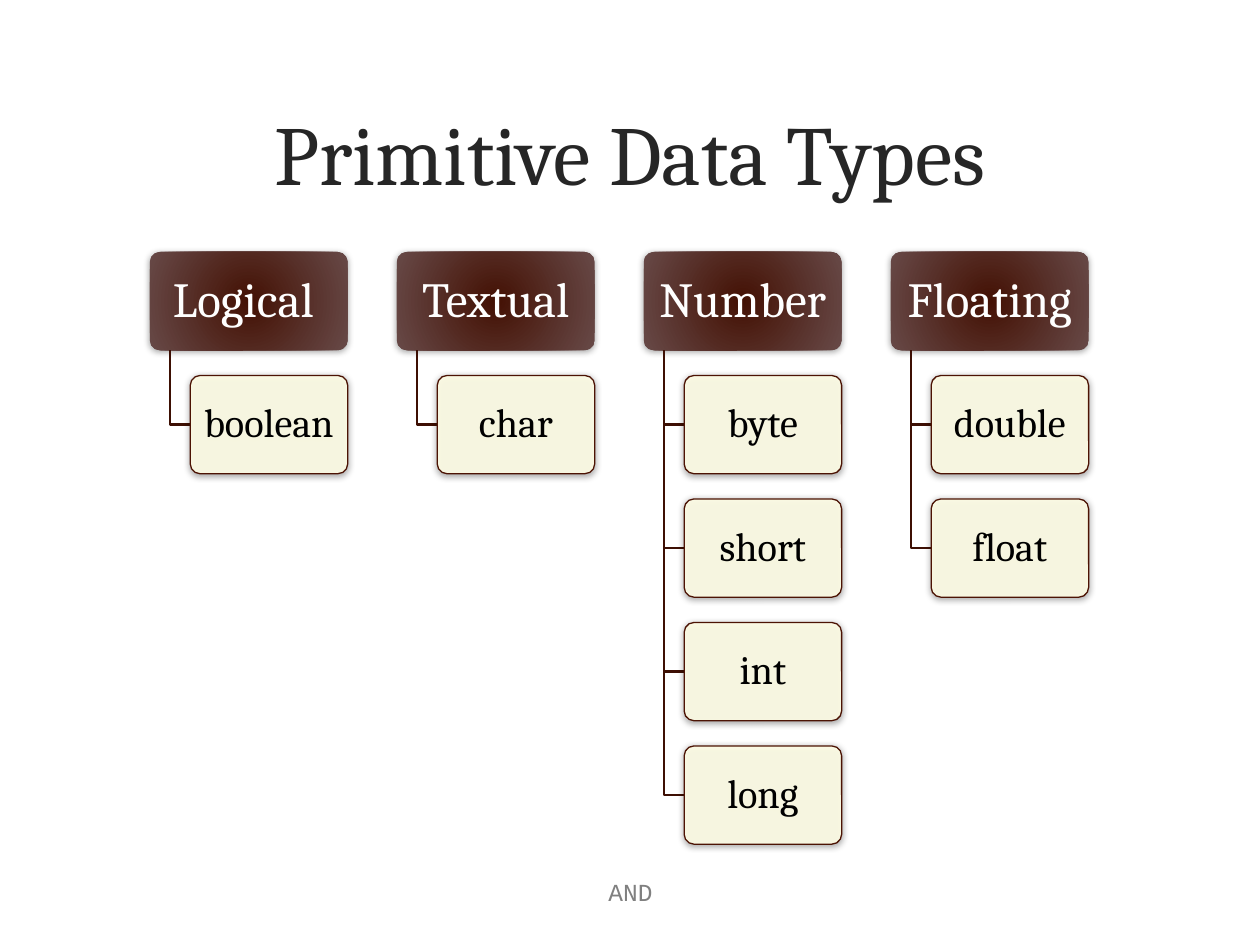
from lxml.etree import SubElement
from pptx import Presentation
from pptx.dml.color import RGBColor
from pptx.enum.shapes import MSO_SHAPE
from pptx.enum.text import MSO_ANCHOR, PP_ALIGN
from pptx.oxml import parse_xml
from pptx.oxml.ns import nsdecls, qn
from pptx.util import Inches, Pt

GROUPS = {
    "Logical ": ["boolean"],
    "Textual": ["char"],
    "Number": ["byte", "short", "int", "long"],
    "Floating": ["double", "float"],
}
LEFT, TOP = 1.19, 2
COLUMN_STEP, ROW_STEP = 1.96, 0.98
HEAD_WIDTH, TYPE_WIDTH, BOX_HEIGHT = 1.57, 1.25, 0.78
STEM, INDENT = 0.16, 0.32


def rgb(color):
    return RGBColor.from_string(color)


class Deck:
    title_font = {"name": "Cambria", "size": Pt(48), "color": "262626"}
    head_font = {"name": "Cambria", "size": Pt(28), "color": "FFFFFF"}
    type_font = {"name": "Cambria", "size": Pt(23), "color": "000000"}
    footer_font = {"name": "Courier New", "size": Pt(14), "color": "808080"}

    def __init__(self):
        self.prs = Presentation()
        self.prs.slide_width, self.prs.slide_height = Inches(10), Inches(7.5)
        self.s = self.prs.slides.add_slide(self.prs.slide_layouts[5])

    def add_text(self, sp, text, font, inset=(0.1, 0.05), spacing=1.0):
        tf = sp.text_frame
        dx, dy = map(Inches, inset)
        frame = {
            "word_wrap": True, "vertical_anchor": MSO_ANCHOR.MIDDLE,
            "margin_left": dx, "margin_right": dx,
            "margin_top": dy, "margin_bottom": dy,
        }
        for key, value in frame.items():
            setattr(tf, key, value)
        p = tf.paragraphs[0]
        p.alignment, p.line_spacing = PP_ALIGN.CENTER, spacing
        r = p.add_run()
        r.text = text
        for key, value in font.items():
            if key == "color":
                r.font.color.rgb = rgb(value)
            else:
                setattr(r.font, key, value)

    def title(self, text, x, y, w, h):
        sp = self.s.shapes.title
        sp.left, sp.top, sp.width, sp.height = map(Inches, (x, y, w, h))
        self.add_text(sp, text, self.title_font)

    def footer(self, text, x, y, w, h):
        sp = self.s.shapes.add_textbox(*map(Inches, (x, y, w, h)))
        self.add_text(sp, text, self.footer_font)

    def box(self, x, y, w):
        sp = self.s.shapes.add_shape(
            MSO_SHAPE.ROUNDED_RECTANGLE, *map(Inches, (x, y, w, BOX_HEIGHT)))
        sp.adjustments[0] = 0.1
        sp.shadow.inherit = False
        effects = sp._element.spPr.find(qn("a:effectLst"))
        shadow = SubElement(
            effects, qn("a:outerShdw"), blurRad=str(Pt(4)), dist=str(Pt(1)),
            dir="5400000", rotWithShape="0")
        color = SubElement(shadow, qn("a:srgbClr"), val="000000")
        SubElement(color, qn("a:alpha"), val="37000")
        return sp

    def head(self, text, x, y):
        sp = self.box(x, y, HEAD_WIDTH)
        sp.fill.background()
        sp.line.fill.background()
        spPr = sp._element.spPr
        gradient = parse_xml(
            f'<a:gradFill {nsdecls("a")} rotWithShape="1"><a:gsLst>'
            '<a:gs pos="0"><a:srgbClr val="441104"/></a:gs>'
            '<a:gs pos="100000"><a:srgbClr val="674947"/></a:gs></a:gsLst>'
            '<a:path path="circle"><a:fillToRect l="40000" t="100000" '
            'r="40000" b="100000"/></a:path></a:gradFill>')
        spPr.replace(spPr.find(qn("a:noFill")), gradient)
        self.add_text(sp, text, self.head_font, (0.08, 0.06), 0.9)

    def data_type(self, text, x, y):
        sp = self.box(x, y, TYPE_WIDTH)
        sp.fill.solid()
        sp.fill.fore_color.rgb = rgb("FFFEE6")
        color = sp._element.spPr.find(qn("a:solidFill"))[0]
        SubElement(color, qn("a:alpha"), val="90000")
        sp.line.color.rgb = rgb("4C1304")
        sp.line.width = Pt(0.75)
        self.add_text(sp, text, self.type_font, (0.07, 0.05), 0.9)

    def elbow(self, x, top, bottom, right):
        x, top, bottom, right = map(Inches, (x, top, bottom, right))
        builder = self.s.shapes.build_freeform(x, top)
        builder.add_line_segments([(x, bottom), (right, bottom)], close=False)
        sp = builder.convert_to_shape()
        sp.shadow.inherit = False
        sp.fill.background()
        sp.line.color.rgb = rgb("3D0F03")
        sp.line.width = Pt(1.5)

    def column(self, name, types, x):
        self.head(name, x, TOP)
        for row, text in enumerate(types, 1):
            y = TOP + row * ROW_STEP
            self.elbow(x + STEM, TOP + BOX_HEIGHT, y + BOX_HEIGHT / 2, x + INDENT)
            self.data_type(text, x + INDENT, y)


def main():
    deck = Deck()
    deck.title("Primitive Data Types", 0.5, 0.58, 9, 1.25)
    for i, (name, types) in enumerate(GROUPS.items()):
        deck.column(name, types, LEFT + i * COLUMN_STEP)
    deck.footer("AND", 3.42, 6.83, 3.17, 0.5)
    deck.prs.save("out.pptx")


if __name__ == "__main__":
    main()
